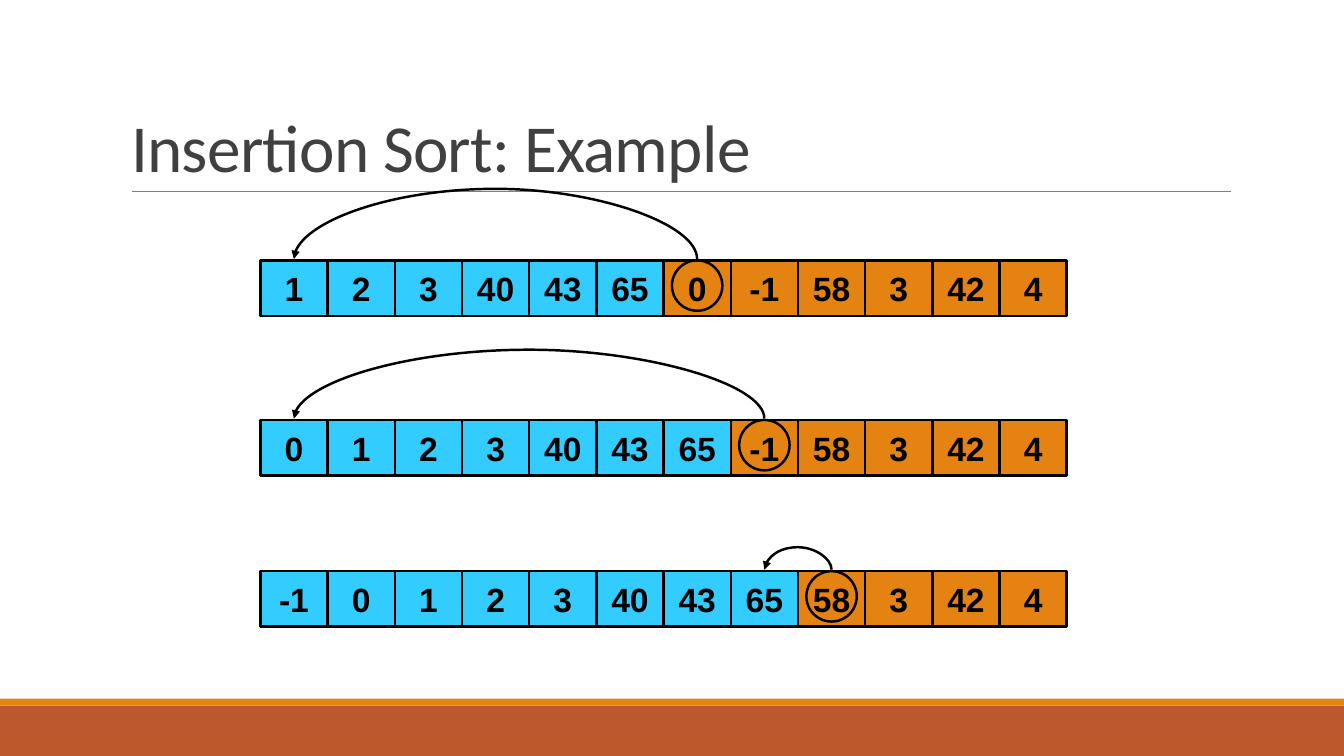
"""Build the insertion sort example slide."""
from pptx import Presentation
from pptx.dml.color import RGBColor
from pptx.enum.shapes import MSO_CONNECTOR as Link, MSO_SHAPE as Kind
from pptx.enum.text import MSO_ANCHOR as Anchor, MSO_AUTO_SIZE as Fit, PP_ALIGN as Align
from pptx.oxml import parse_xml
from pptx.oxml.ns import nsdecls
from pptx.util import Pt


def tint(part, code):
    if hasattr(part, "solid"):
        part.solid()
        part.fore_color.rgb = RGBColor.from_string(code)
    else:
        part.color.rgb = RGBColor.from_string(code)


def draw(kind, left, top, wide, high, fill=None, edge=True):
    shape = slide.shapes.add_shape(kind, Pt(left), Pt(top), Pt(wide), Pt(high))
    shape.shadow.inherit = False
    if fill:
        tint(shape.fill, fill)
    else:
        shape.fill.background()
    if edge:
        tint(shape.line, "000000")
        shape.line.width = Pt(1.75)
    else:
        shape.line.fill.background()
    return shape


BLUE, GOLD, RUST = "33CCFF", "E48312", "BD582C"
CELL, HIGH, LEFT, RING = 48, 39.6, 186, 36
THIN = 0.12

deck = Presentation()
deck.slide_width, deck.slide_height = Pt(960), Pt(540)
slide = deck.slides.add_slide(deck.slide_layouts[5])

draw(Kind.RECTANGLE, 0, 504, 960, 36, RUST, False)
draw(Kind.RECTANGLE, 0, 499, 960, 5, GOLD, False)
rule = slide.shapes.add_connector(Link.STRAIGHT, Pt(94.3), Pt(136.8), Pt(879.1), Pt(136.8))
tint(rule.line, "808080")
rule.line.width = Pt(0.5)
rule.element.spPr.append(parse_xml(f"<a:effectLst {nsdecls('a')}/>"))

title = slide.shapes.title
title.left, title.top, title.width, title.height = Pt(86.4), Pt(22.3), Pt(792), Pt(114.5)
frame = title.text_frame
frame.text = "Insertion Sort: Example"
frame.vertical_anchor = Anchor.BOTTOM
frame.auto_size = Fit.NONE
head = frame.paragraphs[0]
head.alignment, head.line_spacing = Align.LEFT, 0.85
head.font.name, head.font.size = "Calibri", Pt(48)
tint(head.font, "404040")
head.runs[0].font.size = Pt(48)
head.runs[0].element.rPr.set("spc", "-50") if hasattr(head.runs[0], "element") else head.runs[0].font._element.set("spc", "-50")

steps = [
    (186, "1 2 3 40 43 65 0 -1 58 3 42 4", 6, 0, 53),
    (300, "0 1 2 3 40 43 65 -1 58 3 42 4", 7, 0, 52),
    (408, "-1 0 1 2 3 40 43 65 58 3 42 4", 8, 7, 17),
]
for top, row, key, goal, rise in steps:
    for col, num in enumerate(row.split()):
        box = draw(Kind.RECTANGLE, LEFT + CELL * col, top, CELL, HIGH, BLUE if col < key else GOLD)
        frame = box.text_frame
        frame.text = num
        frame.word_wrap = False
        frame.vertical_anchor = Anchor.MIDDLE
        para = frame.paragraphs[0]
        para.alignment = Align.CENTER
        para.font.name, para.font.size, para.font.bold = "Arial", Pt(24), True
        tint(para.font, "000000")

    draw(Kind.OVAL, LEFT + CELL * key + (CELL - RING) / 2, top, RING, RING)

    span = CELL * (key - goal)
    mid = LEFT + CELL * (key + goal + 1) / 2
    peak = top - 1 - span / 2
    arc = slide.shapes.add_connector(
        Link.CURVE, Pt(mid - THIN / 2), Pt(peak), Pt(mid + THIN / 2), Pt(peak + span))
    tint(arc.line, "000000")
    arc.line.width = Pt(1.75)
    arc.line._get_or_add_ln().append(parse_xml(f'<a:tailEnd {nsdecls("a")} type="triangle"/>'))
    props = arc.element.spPr
    for name, value in (("rot", "16200000"), ("flipH", "1"), ("flipV", "1")):
        props.xfrm.set(name, value)
    bend = round(-rise / THIN * 100000)
    props.prstGeom.get_or_add_avLst().append(
        parse_xml(f'<a:gd {nsdecls("a")} name="adj1" fmla="val {bend}"/>'))
    props.append(parse_xml(f"<a:effectLst {nsdecls('a')}/>"))

deck.save("out.pptx")
